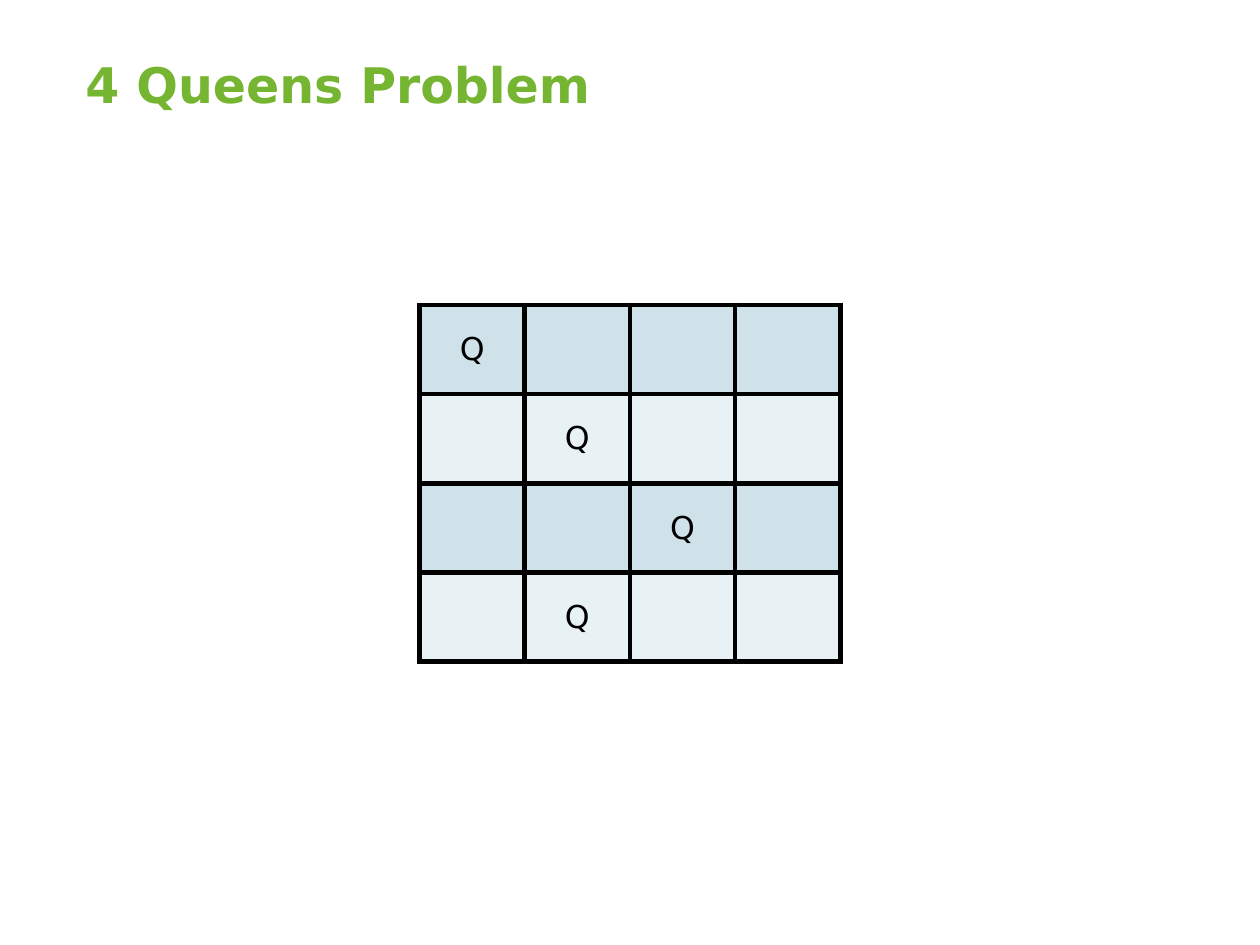
from dataclasses import dataclass

from lxml.etree import SubElement
from pptx import Presentation
from pptx.dml.color import RGBColor as Rgb
from pptx.enum.text import MSO_ANCHOR as Anchor, PP_ALIGN as Align
from pptx.oxml.ns import qn
from pptx.util import Inches, Pt


@dataclass(frozen=True)
class Theme:
    font: str = "DejaVu Sans"
    green: str = "76B531"
    black: str = "000000"
    bands: tuple = ("CFE2EA", "E8F1F4")
    title: int = 28
    body: int = 18
    border: int = 3


THEME = Theme()
SIZE = 4
QUEENS = {(0, 0), (1, 1), (2, 2), (3, 1)}


def style(font, size, color, bold=False):
    values = {"name": THEME.font, "size": Pt(size), "bold": bold}
    for key, value in values.items():
        setattr(font, key, value)
    font.color.rgb = Rgb.from_string(color)


def add_title(slide, box, text):
    frame = slide.shapes.add_textbox(*map(Inches, box)).text_frame
    frame.word_wrap = True
    frame.vertical_anchor = Anchor.MIDDLE
    par = frame.paragraphs[0]
    par.text = text
    style(par.font, THEME.title, THEME.green, bold=True)


def add_border(cell):
    """Draw all four sides; the lines must come before the fill."""
    props = cell._tc.get_or_add_tcPr()
    for spot, side in enumerate(("lnL", "lnR", "lnT", "lnB")):
        line = SubElement(props, qn(f"a:{side}"), w=str(Pt(THEME.border)))
        fill = SubElement(line, qn("a:solidFill"))
        SubElement(fill, qn("a:srgbClr"), val=THEME.black)
        props.insert(spot, line)


def add_board(slide, box, queens):
    table = slide.shapes.add_table(SIZE, SIZE, *map(Inches, box)).table
    table.first_row = table.horz_banding = False
    for row in range(SIZE):
        for col in range(SIZE):
            cell = table.cell(row, col)
            cell.fill.solid()
            band = THEME.bands[row % 2]
            cell.fill.fore_color.rgb = Rgb.from_string(band)
            add_border(cell)
            cell.vertical_anchor = Anchor.MIDDLE
            par = cell.text_frame.paragraphs[0]
            if (row, col) in queens:
                par.text = "Q"
            par.alignment = Align.CENTER
            par.line_spacing = 1.02
            style(par.font, THEME.body, THEME.black)


def main():
    deck = Presentation()
    deck.slide_width, deck.slide_height = Inches(10), Inches(7.5)
    slide = deck.slides.add_slide(deck.slide_layouts[6])
    add_title(slide, (0.58, 0.33, 8.5, 0.67), "4 Queens Problem")
    add_board(slide, (3.33, 2.42, 3.34, 2.83), QUEENS)
    deck.save("out.pptx")


if __name__ == "__main__":
    main()
